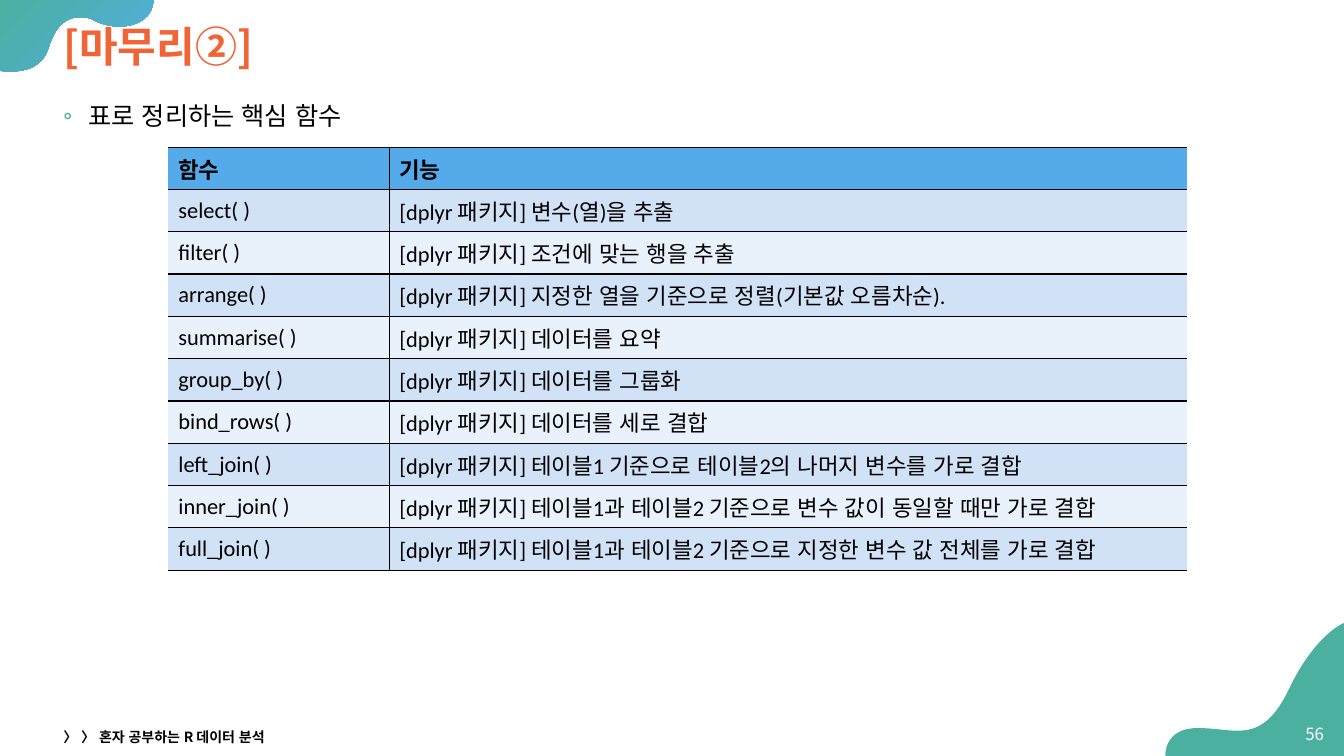
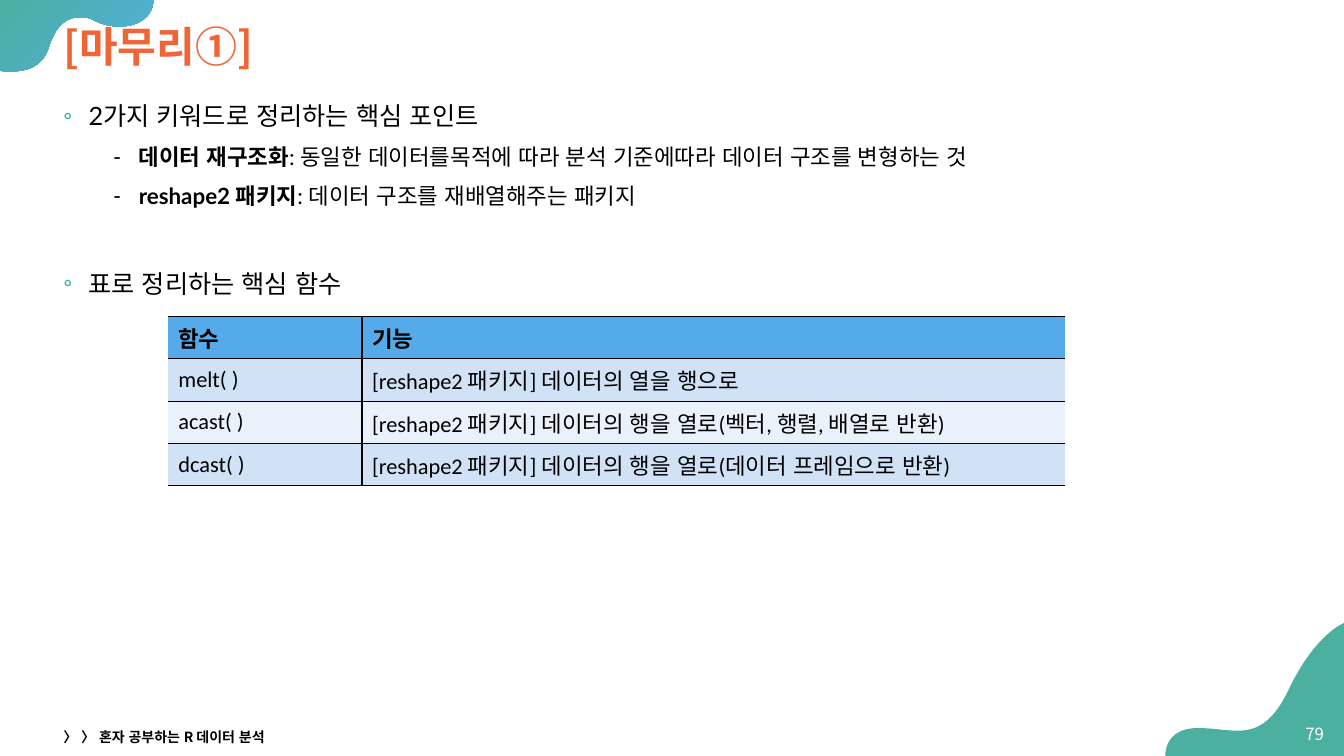
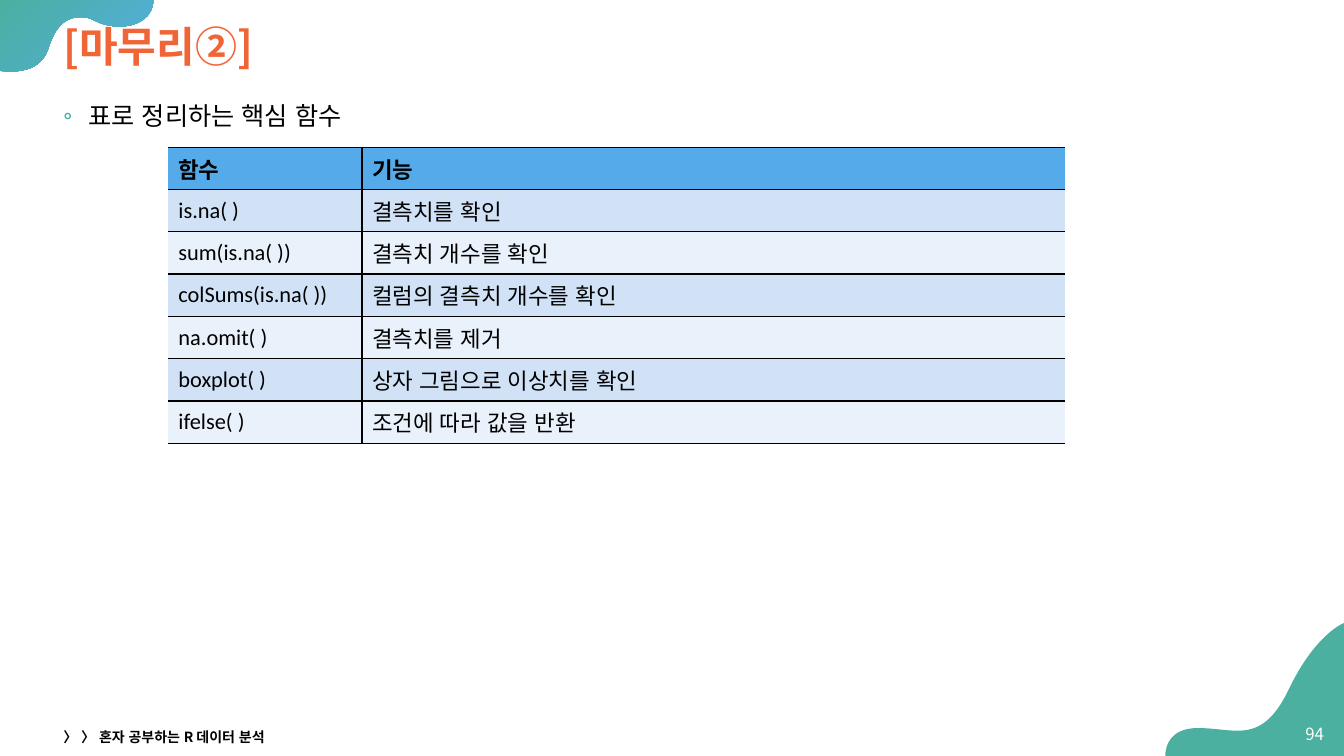
from dataclasses import dataclass

from lxml.etree import SubElement
from pptx import Presentation
from pptx.dml.color import RGBColor
from pptx.enum.lang import MSO_LANGUAGE_ID
from pptx.enum.text import MSO_ANCHOR, MSO_AUTO_SIZE, PP_ALIGN
from pptx.oxml.ns import qn
from pptx.util import Inches, Pt

WIDTH, HEIGHT = 13.33, 7.5
COLORS = {
    "green": "4BB0A0", "sky": "52AEE1", "orange": "F06436",
    "black": "000000", "white": "FFFFFF",
    "header": "55AAEA", "band_dark": "D1E2F7", "band_light": "E9F1FB",
}
KOREAN, LATIN, TABLE_LATIN = "Noto Sans CJK KR", "Lato", "Calibri"
FOOTER = "〉 〉 혼자 공부하는 R 데이터 분석"
FUNCTIONS_HEADING = "표로 정리하는 핵심 함수"
TABLE_LEFT, ROW_HEIGHT = 1.67, 0.42


@dataclass
class Box:
    """A rectangle in inches."""
    left: float
    top: float
    width: float
    height: float

    def place(self):
        return [Inches(v) for v in (self.left, self.top, self.width, self.height)]

    def point(self, x, y):
        """Turn shares of the box into slide coordinates."""
        return (Inches(self.left + x * self.width),
                Inches(self.top + y * self.height))


TITLE_BOX = Box(0.53, 0.12, 12.34, 0.73)
BODY_BOX = Box(0.53, 0.89, 12.34, 6.3)
FOOTER_BOX = Box(0.53, 7.19, 4.5, 0.24)
NUMBER_BOX = Box(12.79, 7.08, 0.44, 0.4)
TOP_WAVE_BOX = Box(0, 0, 1.52, 0.71)
BOTTOM_WAVE_BOX = Box(11.54, 6.18, WIDTH - 11.54, HEIGHT - 6.18)

# Outlines in shares of their box: one point is a line, three are a curve.
TOP_WAVE = [
    [(1, 0)], [(0, 0)], [(0, 0.99)],
    [(0, 0.99), (0.03, 1), (0.07, 1)],
    [(0.16, 1), (0.28, 0.95), (0.32, 0.65)],
    [(0.37, 0.32), (0.45, 0.24), (0.52, 0.24)],
    [(0.55, 0.24), (0.59, 0.25), (0.61, 0.28)],
    [(0.66, 0.34), (0.72, 0.37), (0.78, 0.37)],
    [(0.9, 0.37), (1, 0.24), (1, 0)],
]
BOTTOM_WAVE = [
    [(1, 0)],
    [(1, 0), (0.84, 0.08), (0.69, 0.51)],
    [(0.6, 0.76), (0.51, 0.81), (0.41, 0.81)],
    [(0.34, 0.81), (0.27, 0.79), (0.19, 0.79)],
    [(0, 0.79), (0.01, 1), (0.01, 1)],
    [(1, 1)],
]


def rgb(name):
    return RGBColor.from_string(COLORS[name])


def add_text(para, text, size=16, color="black", bold=False, latin=KOREAN):
    span = para.add_run()
    span.text = text
    font = span.font
    font.size, font.bold, font.name = Pt(size), bold, latin
    font.language_id = MSO_LANGUAGE_ID.KOREAN
    font.color.rgb = rgb(color)
    SubElement(font._element, qn("a:ea")).set("typeface", KOREAN)


def set_bullet(para, mark, indent, color):
    para.line_spacing = 1.2
    props = para._p.get_or_add_pPr()
    props.set("marL", str(Inches(indent)))
    props.set("indent", str(Inches(-0.25)))
    bullet_color = SubElement(props, qn("a:buClr"))
    SubElement(bullet_color, qn("a:srgbClr")).set("val", COLORS[color])
    SubElement(props, qn("a:buFont")).set("typeface", TABLE_LATIN)
    SubElement(props, qn("a:buChar")).set("char", mark)


def add_box(page, box, anchor=MSO_ANCHOR.MIDDLE):
    frame = page.shapes.add_textbox(*box.place()).text_frame
    frame.word_wrap = True
    frame.vertical_anchor = anchor
    return frame


def add_wave(page, box, outline):
    """Draw an outline, merging the three points of each curve into a Bezier."""
    start, *others = [box.point(*point) for segment in outline for point in segment]
    builder = page.shapes.build_freeform(*start, scale=1.0)
    builder.add_line_segments(others, close=True)
    wave = builder.convert_to_shape()
    lines = iter(list(wave._element.iter(qn("a:lnTo"))))
    for segment in outline[1:]:
        parts = [next(lines) for _ in segment]
        if len(parts) == 3:
            curve = parts[0].makeelement(qn("a:cubicBezTo"))
            parts[0].addprevious(curve)
            for part in parts:
                curve.append(part[0])
                part.getparent().remove(part)
    wave.shadow.inherit = False
    wave.line.fill.background()
    return wave


def add_frame(page, title, number):
    """Place the waves, title, page number and footer that all slides share."""
    top_fill = add_wave(page, TOP_WAVE_BOX, TOP_WAVE).fill
    top_fill.gradient()
    top_fill.gradient_angle = 315
    for stop, name in zip(top_fill.gradient_stops, ("green", "sky")):
        stop.color.rgb = rgb(name)
    bottom_fill = add_wave(page, BOTTOM_WAVE_BOX, BOTTOM_WAVE).fill
    bottom_fill.solid()
    bottom_fill.fore_color.rgb = rgb("green")

    heading = page.shapes.title
    page.shapes._spTree.append(heading._element)
    heading.left, heading.top, heading.width, heading.height = TITLE_BOX.place()
    frame = heading.text_frame
    frame.auto_size = MSO_AUTO_SIZE.NONE
    frame.vertical_anchor = MSO_ANCHOR.MIDDLE
    para = frame.paragraphs[0]
    para.alignment = PP_ALIGN.LEFT
    para.line_spacing = 0.9
    add_text(para, title, size=30, color="orange", bold=True)

    para = add_box(page, NUMBER_BOX).paragraphs[0]
    para.alignment = PP_ALIGN.RIGHT
    add_text(para, str(number), size=12, color="white")
    add_text(add_box(page, FOOTER_BOX).paragraphs[0], FOOTER, size=10, bold=True)


def add_body(page, box, groups):
    """Write headings, each with its list of (term, meaning) pairs."""
    frame = add_box(page, box, MSO_ANCHOR.TOP)
    for index, (heading, latin, terms) in enumerate(groups):
        para = frame.add_paragraph() if index else frame.paragraphs[0]
        set_bullet(para, "◦", 0.25, "green")
        if index:
            para.space_before = Pt(37.5)
        add_text(para, heading, size=18, latin=latin)
        for term, meaning in terms:
            para = frame.add_paragraph()
            para.level = 1
            set_bullet(para, "⁃", 0.75, "black")
            para.space_before = Pt(5)
            add_text(para, term, bold=True, latin=latin)
            add_text(para, f": {meaning}", latin=latin)


def set_borders(cell, **sides):
    """Draw or hide each side of a cell; sides are named L, R, T and B."""
    props = cell._tc.get_or_add_tcPr()
    for position, (side, shown) in enumerate(sides.items()):
        line = props.makeelement(qn(f"a:ln{side}"), {"w": str(Pt(1))})
        if shown:
            fill = SubElement(line, qn("a:solidFill"))
            SubElement(fill, qn("a:srgbClr")).set("val", COLORS["black"])
        else:
            SubElement(line, qn("a:noFill"))
        props.insert(position, line)


def add_function_table(page, left, top, widths, entries):
    rows = [("함수", "기능"), *entries]
    box = Box(left, top, sum(widths), ROW_HEIGHT * len(rows))
    table = page.shapes.add_table(len(rows), len(widths), *box.place()).table
    for column, width in zip(table.columns, widths):
        column.width = Inches(width)
    for r, row in enumerate(rows):
        band = "header" if r == 0 else "band_dark" if r % 2 else "band_light"
        for c, text in enumerate(row):
            cell = table.cell(r, c)
            cell.vertical_anchor = MSO_ANCHOR.MIDDLE
            cell.fill.solid()
            cell.fill.fore_color.rgb = rgb(band)
            set_borders(cell, L=c > 0, R=c < len(widths) - 1, T=True, B=True)
            add_text(cell.text_frame.paragraphs[0], text, bold=r == 0,
                     latin=TABLE_LATIN)


def add_summary(deck, title, number, groups, table_top, widths, entries):
    page = deck.slides.add_slide(deck.slide_layouts[5])
    add_frame(page, title, number)
    add_body(page, BODY_BOX, groups)
    add_function_table(page, TABLE_LEFT, table_top, widths, entries)


WIDE, NARROW = (2.19, 7.91), (1.92, 6.97)
FUNCTIONS_GROUP = (FUNCTIONS_HEADING, KOREAN, [])
KEYWORDS_GROUP = ("2가지 키워드로 정리하는 핵심 포인트", LATIN, [
    ("데이터 재구조화", "동일한 데이터를목적에 따라 분석 기준에따라 데이터 구조를 변형하는 것"),
    ("reshape2 패키지", "데이터 구조를 재배열해주는 패키지"),
])
DPLYR = [
    ("select( )", "변수(열)을 추출"),
    ("filter( )", "조건에 맞는 행을 추출"),
    ("arrange( )", "지정한 열을 기준으로 정렬(기본값 오름차순)."),
    ("summarise( )", "데이터를 요약"),
    ("group_by( )", "데이터를 그룹화"),
    ("bind_rows( )", "데이터를 세로 결합"),
    ("left_join( )", "테이블1 기준으로 테이블2의 나머지 변수를 가로 결합"),
    ("inner_join( )", "테이블1과 테이블2 기준으로 변수 값이 동일할 때만 가로 결합"),
    ("full_join( )", "테이블1과 테이블2 기준으로 지정한 변수 값 전체를 가로 결합"),
]
RESHAPE = [
    ("melt( )", "데이터의 열을 행으로"),
    ("acast( )", "데이터의 행을 열로(벡터, 행렬, 배열로 반환)"),
    ("dcast( )", "데이터의 행을 열로(데이터 프레임으로 반환)"),
]
MISSING = [
    ("is.na( )", "결측치를 확인"),
    ("sum(is.na( ))", "결측치 개수를 확인"),
    ("colSums(is.na( ))", "컬럼의 결측치 개수를 확인"),
    ("na.omit( )", "결측치를 제거"),
    ("boxplot( )", "상자 그림으로 이상치를 확인"),
    ("ifelse( )", "조건에 따라 값을 반환"),
]


def from_package(package, entries):
    return [(name, f"[{package} 패키지] {use}") for name, use in entries]


def main():
    deck = Presentation()
    deck.slide_width, deck.slide_height = Inches(WIDTH), Inches(HEIGHT)
    add_summary(deck, "[마무리②]", 56, [FUNCTIONS_GROUP], 1.46, WIDE,
                from_package("dplyr", DPLYR))
    add_summary(deck, "[마무리①]", 79, [KEYWORDS_GROUP, FUNCTIONS_GROUP], 3.14, NARROW,
                from_package("reshape2", RESHAPE))
    add_summary(deck, "[마무리②]", 94, [FUNCTIONS_GROUP], 1.46, NARROW, MISSING)
    deck.save("out.pptx")


if __name__ == "__main__":
    main()
